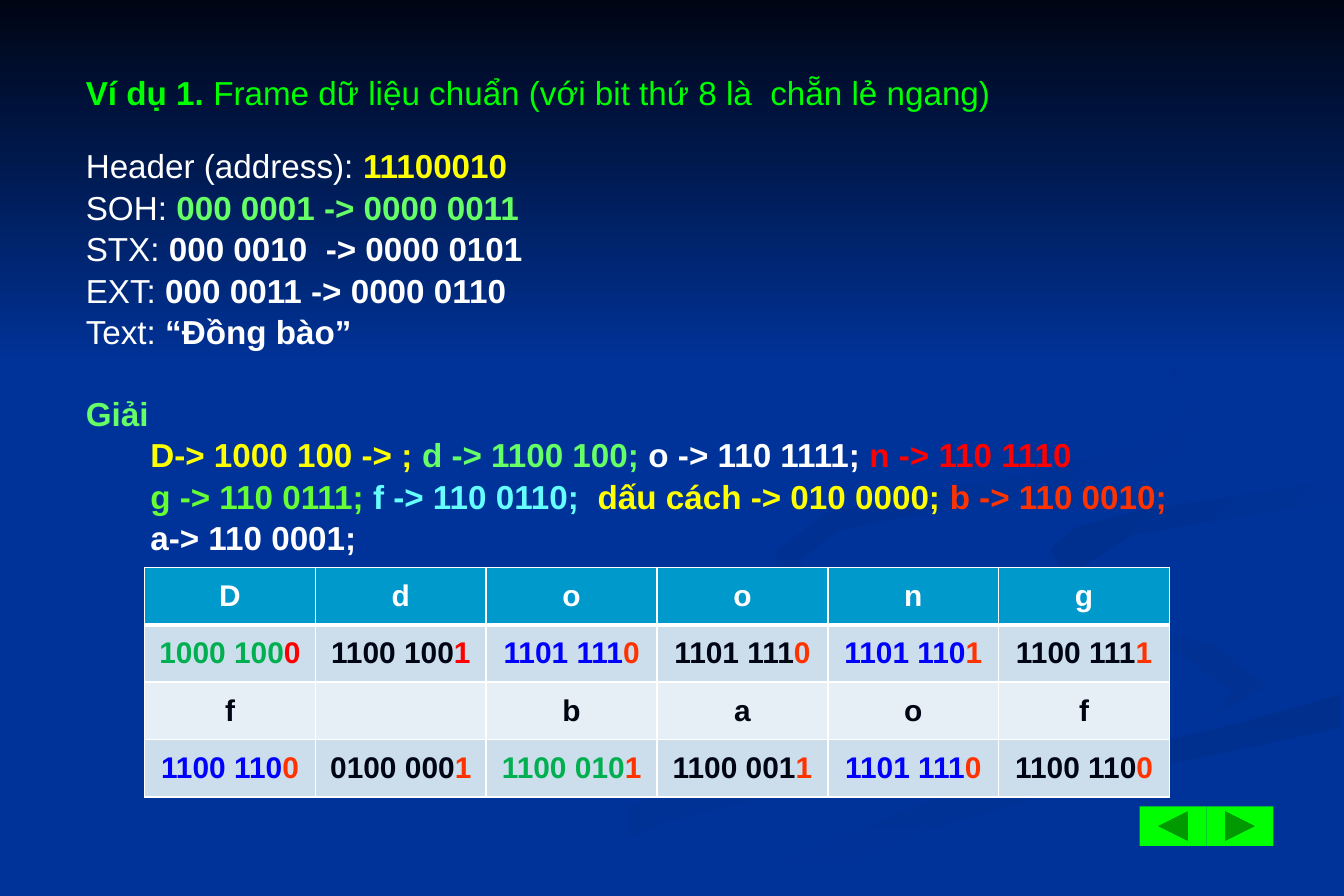
from lxml import etree
from pptx import Presentation
from pptx import util as u
from pptx.dml.color import RGBColor
from pptx.enum import shapes, text
from pptx.oxml import ns

PX = 9144  # 100 px to the inch

WHITE = RGBColor.from_string("FFFFFF")
INK = RGBColor.from_string("000514")
NAVY = RGBColor.from_string("003399")
SHADE = RGBColor.from_string("002F8D")
SHADE_SOFT = RGBColor.from_string("003193")
LIME = RGBColor.from_string("00FF00")
YELLOW = RGBColor.from_string("FFFF00")
MINT = RGBColor.from_string("66FF66")
LEAF = RGBColor.from_string("66FF33")
AQUA = RGBColor.from_string("66FFFF")
RED = RGBColor.from_string("FF0000")
ORANGE = RGBColor.from_string("FF3300")
BLUE = RGBColor.from_string("0000FF")
GREEN = RGBColor.from_string("00B050")
HEADER_FILL = RGBColor.from_string("0099CC")
BAND_DARK = RGBColor.from_string("CCDEEC")
BAND_LIGHT = RGBColor.from_string("E7EFF6")


def add_runs(paragraph, size, runs):
    for wording, color, bold in runs:
        run = paragraph.add_run()
        run.text = wording
        run.font.color.rgb = color
        for name, value in {"name": "Arial", "size": u.Pt(size), "bold": bold}.items():
            setattr(run.font, name, value)


def paint_gradient(shape, colors, angle):
    shape.shadow.inherit = False
    shape.line.fill.background()
    shape.fill.gradient()
    shape.fill.gradient_angle = angle
    for stop, color, position in zip(shape.fill.gradient_stops, colors, (0, 1)):
        stop.color.rgb = color
        stop.position = position


presentation = Presentation()
presentation.slide_width, presentation.slide_height = 1125 * PX, 750 * PX
slide = presentation.slides.add_slide(presentation.slide_layouts[6])
slide.background.fill.solid()
slide.background.fill.fore_color.rgb = NAVY

# Background swirls: start colour, end colour, angle, outline
swirls = [
    (NAVY, SHADE_SOFT, 0, [
        (879, 553), (691, 496), (647, 459), (653, 484), (819, 535), (885, 566),
        (832, 598), (607, 649), (423, 707), (338, 749), (406, 749), (561, 687),
        (851, 614), (901, 581)]),
    (NAVY, SHADE_SOFT, 315, [
        (1061, 570), (1018, 540), (853, 498), (815, 464), (832, 494), (991, 549),
        (1032, 580), (1006, 605), (1049, 589)]),
    (SHADE, NAVY, 270, [
        (566, 749), (643, 749), (782, 692), (924, 651), (1123, 609), (1123, 581),
        (1035, 606), (860, 647), (708, 693)]),
    (NAVY, NAVY, 0, [
        (815, 464), (854, 498), (1018, 540), (1060, 575), (1003, 605), (792, 655),
        (537, 749), (584, 747), (783, 669), (1124, 581), (1124, 538), (936, 498),
        (879, 463), (956, 427), (1124, 402), (1124, 387), (866, 427)]),
    (SHADE, NAVY, 315, [
        (879, 460), (890, 478), (929, 496), (906, 474), (948, 448), (1053, 429),
        (1123, 420), (1123, 402), (956, 427), (899, 442)]),
    (SHADE, NAVY, 315, [
        (769, 430), (928, 402), (986, 378), (1006, 344), (972, 291), (858, 233),
        (952, 279), (1001, 335), (969, 370), (859, 398), (692, 429), (649, 462),
        (664, 484), (700, 500), (668, 470), (702, 444)]),
]
for start_color, end_color, angle, outline in swirls:
    builder = slide.shapes.build_freeform(*outline[0], scale=PX)
    builder.add_line_segments(outline[1:])
    paint_gradient(builder.convert_to_shape(), (start_color, end_color), angle)

# Dark sky over the top
sky = slide.shapes.add_shape(shapes.MSO_SHAPE.RECTANGLE, 0, 0, 1125 * PX, 308 * PX)
paint_gradient(sky, (INK, NAVY), 270)

# Title
title = slide.shapes.add_textbox(62 * PX, 65 * PX, 984 * PX, 35 * PX)
title.text_frame.word_wrap = True
title_paragraph = title.text_frame.paragraphs[0]
title_paragraph.line_spacing = 0.7
add_runs(title_paragraph, 20, [
    ("Ví dụ 1. ", LIME, True),
    ("Frame dữ liệu chuẩn (với bit thứ 8 là  chẵn lẻ ngang)", LIME, False)])

# Frame fields and solution: space before (pt), indent (px), runs
body_lines = [
    (0, 0, [("Header (address): ", WHITE, False), ("11100010", YELLOW, True)]),
    (1, 0, [("SOH: ", WHITE, False), ("000 0001 -> 0000 0011", MINT, True)]),
    (1, 0, [("STX:", WHITE, False), (" 000 0010  -> 0000 0101", WHITE, True)]),
    (1, 0, [("EXT: ", WHITE, False), ("000 0011 -> 0000 0110", WHITE, True)]),
    (1, 0, [("Text:", WHITE, False), (" “Đồng bào”", WHITE, True)]),
    (25, 0, [("Giải", MINT, True)]),
    (1, 54, [("D-> 1000 100 -> ; ", YELLOW, True), ("d -> 1100 100; ", MINT, True),
             ("o -> 110 1111; ", WHITE, True), ("n -> 110 1110", RED, True)]),
    (1, 54, [("g -> 110 0111; ", LEAF, True), ("f -> 110 0110;  ", AQUA, True),
             ("dấu cách -> 010 0000; ", YELLOW, True), ("b -> 110 0010;", ORANGE, True)]),
    (1, 54, [("a-> 110 0001;", WHITE, True)]),
]
body = slide.shapes.add_textbox(62 * PX, 117 * PX, 983 * PX, 347 * PX)
body.text_frame.word_wrap = True
for index, (space, indent, runs) in enumerate(body_lines):
    paragraph = body.text_frame.paragraphs[0] if index == 0 else body.text_frame.add_paragraph()
    paragraph.space_before = u.Pt(space)
    if indent:
        paragraph._p.get_or_add_pPr().set("marL", str(indent * PX))
    add_runs(paragraph, 20, runs)

# Code table: each code ends in its parity bit
letter_rows = {0: ("D", "d", "o", "o", "n", "g"), 2: ("f", "", "b", "a", "o", "f")}
code_rows = {
    1: [("1000 1000", GREEN, RED), ("1100 1001", INK, RED), ("1101 1110", BLUE, ORANGE),
        ("1101 1110", INK, ORANGE), ("1101 1101", BLUE, ORANGE), ("1100 1111", INK, ORANGE)],
    3: [("1100 1100", BLUE, ORANGE), ("0100 0001", INK, ORANGE), ("1100 0101", GREEN, ORANGE),
        ("1100 0011", INK, ORANGE), ("1101 1110", BLUE, ORANGE), ("1100 1100", INK, ORANGE)],
}
row_fills = (HEADER_FILL, BAND_DARK, BAND_LIGHT, BAND_DARK)
table = slide.shapes.add_table(4, 6, 121 * PX, 475 * PX, 858 * PX, 192 * PX).table
for row, fill in enumerate(row_fills):
    for column in range(6):
        cell = table.cell(row, column)
        cell.vertical_anchor = text.MSO_ANCHOR.MIDDLE
        cell.fill.solid()
        cell.fill.fore_color.rgb = fill
        paragraph = cell.text_frame.paragraphs[0]
        paragraph.alignment = text.PP_ALIGN.CENTER
        if row in code_rows:
            code, color, parity_color = code_rows[row][column]
            add_runs(paragraph, 18, [(code[:-1], color, True), (code[-1], parity_color, True)])
        elif letter_rows[row][column]:
            add_runs(paragraph, 18, [(letter_rows[row][column], INK if row else WHITE, True)])
        # White borders, thick below the header
        properties = cell._tc.get_or_add_tcPr()
        for position, side in enumerate("LRTB"):
            thick = (row, side) in ((0, "B"), (1, "T"))
            border = etree.Element(ns.qn(f"a:ln{side}"), w=str(u.Pt(3 if thick else 1)))
            border_fill = etree.SubElement(border, ns.qn("a:solidFill"))
            etree.SubElement(border_fill, ns.qn("a:srgbClr"), val=str(WHITE))
            properties.insert(position, border)

# Navigation buttons
for left, kind in ((1010, shapes.MSO_SHAPE.ACTION_BUTTON_FORWARD_OR_NEXT),
                   (954, shapes.MSO_SHAPE.ACTION_BUTTON_BACK_OR_PREVIOUS)):
    button = slide.shapes.add_shape(kind, left * PX, 675 * PX, 56 * PX, 33 * PX)
    button.shadow.inherit = False
    button.fill.solid()
    button.fill.fore_color.rgb = LIME
    button.line.fill.background()

presentation.save("out.pptx")
